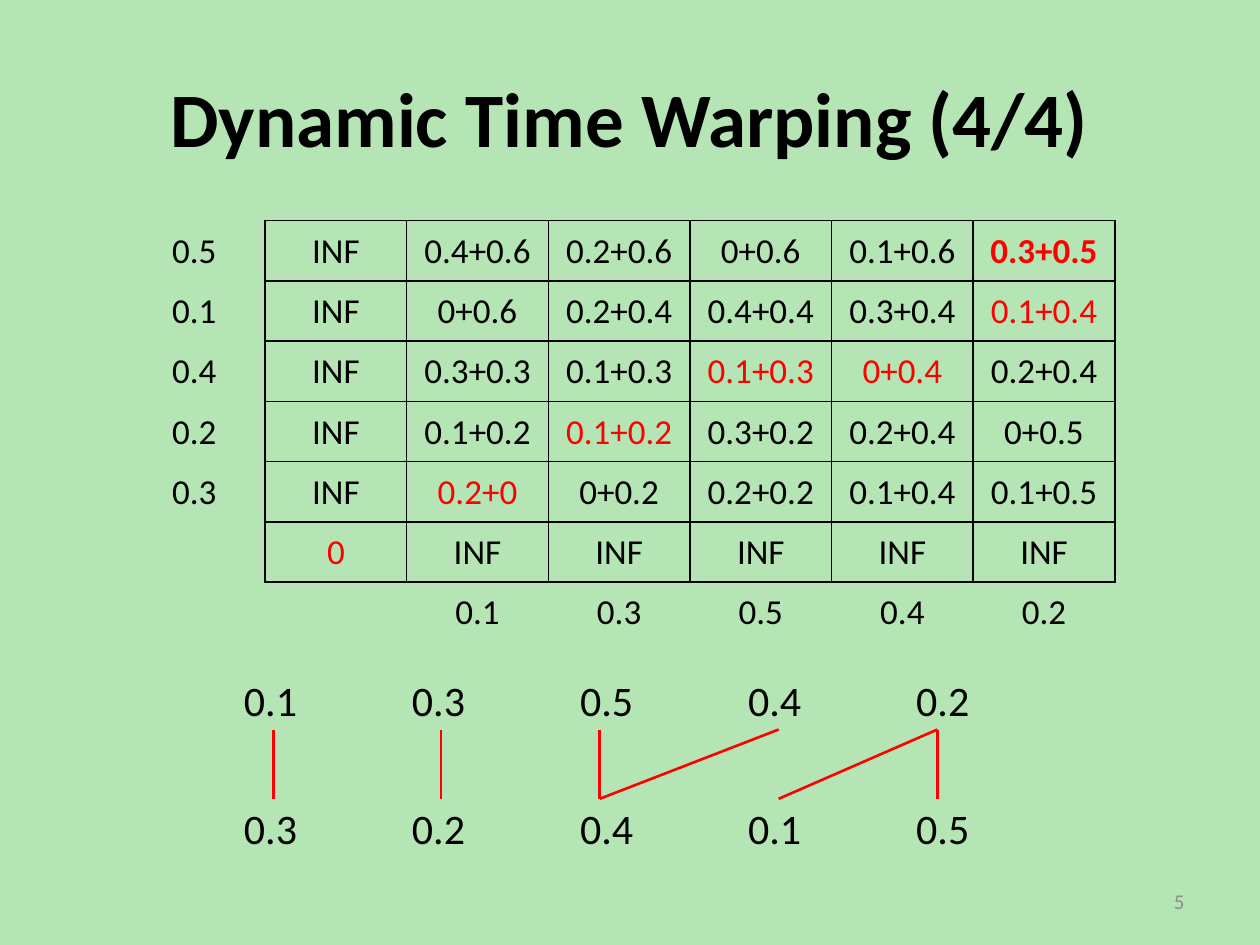
import pptx
import pptx.util
import pptx.oxml
import pptx.oxml.ns
import pptx.dml.color
import pptx.enum.text
import pptx.enum.shapes
from pptx.util import Inches

ALIGN = pptx.enum.text.PP_ALIGN
MIDDLE = pptx.enum.text.MSO_ANCHOR.MIDDLE
BLACK, RED, GRAY, GREEN = "000000", "FF0000", "8C8C8C", "B5E5B5"


def color(code):
    return pptx.dml.color.RGBColor.from_string(code)


class Deck:
    face = "Calibri"

    def __init__(self):
        self.show = pptx.Presentation()
        self.show.slide_width = Inches(10)
        self.show.slide_height = Inches(7.5)
        self.slide = self.show.slides.add_slide(self.show.slide_layouts[5])
        fill = self.slide.background.fill
        fill.solid()
        fill.fore_color.rgb = color(GREEN)

    def text(self, frame, words, size, tint=BLACK, bold=False, align=ALIGN.CENTER):
        line = frame.paragraphs[0]
        line.text = words
        line.alignment = align
        line.font.name = self.face
        line.font.size = pptx.util.Pt(size)
        line.font.bold = bold
        line.font.color.rgb = color(tint)

    def title(self, words, box):
        shape = self.slide.shapes.title
        shape.left, shape.top, shape.width, shape.height = map(Inches, box)
        shape.text_frame.vertical_anchor = MIDDLE
        self.text(shape.text_frame, words, 44, bold=True)

    def label(self, words, box, size, tint, align):
        frame = self.slide.shapes.add_textbox(*map(Inches, box)).text_frame
        frame.word_wrap = True
        frame.vertical_anchor = MIDDLE
        self.text(frame, words, size, tint, align=align)

    def line(self, start, end):
        kind = pptx.enum.shapes.MSO_CONNECTOR.STRAIGHT
        link = self.slide.shapes.add_connector(kind, *map(Inches, start + end))
        link.line.color.rgb = color(RED)
        link.line.width = pptx.util.Pt(1.5)
        props = link._element.spPr
        props.append(props.makeelement(pptx.oxml.ns.qn("a:effectLst"), {}))

    def edges(self, cell, sides):
        props = cell._tc.get_or_add_tcPr()
        for spot, side in enumerate("LRTB"):
            ink = "<a:noFill/>"
            if side in sides:
                ink = f'<a:solidFill><a:srgbClr val="{BLACK}"/></a:solidFill>'
            space = pptx.oxml.ns.nsdecls("a")
            xml = f'<a:ln{side} {space} w="12700">{ink}</a:ln{side}>'
            props.insert(spot, pptx.oxml.parse_xml(xml))

    def table(self, rows, box, size, tight=False, marks=(), bold=(), sides=None):
        shape = self.slide.shapes.add_table(len(rows), len(rows[0]), *map(Inches, box))
        grid = shape.table
        grid.first_row = grid.horz_banding = False
        for r, row in enumerate(rows):
            for c, words in enumerate(row):
                cell = grid.cell(r, c)
                cell.fill.background()
                if tight:
                    cell.vertical_anchor = MIDDLE
                    cell.margin_left = cell.margin_right = Inches(0.01)
                    cell.margin_top, cell.margin_bottom = Inches(0.01), 0
                tint = RED if (r, c) in marks else BLACK
                self.text(cell.text_frame, words, size, tint, (r, c) in bold)
                self.edges(cell, sides(r, c) if sides else "")

    def save(self):
        self.show.save("out.pptx")


def frame_sides(r, c):
    if r < 6:
        return "LRTB" if c else "R"
    return "T" if c else ""


def main():
    deck = Deck()
    deck.title("Dynamic Time Warping (4/4)", (0.5, 0.3, 9, 1.25))
    deck.label("5", (7.17, 6.95, 2.33, 0.4), 12, GRAY, ALIGN.RIGHT)

    first = ["0.1", "0.3", "0.5", "0.4", "0.2"]
    second = ["0.3", "0.2", "0.4", "0.1", "0.5"]
    deck.table([first, [""] * 5, second], (1.48, 5.32, 6.67, 1.53), 24)

    high, low = 5.79, 6.34
    pairs = [(2.17, 2.17), (3.5, 3.5), (4.76, 4.76),
             (6.18, 4.76), (7.44, 6.18), (7.44, 7.44)]
    for upper, lower in pairs:
        deck.line((upper, high), (lower, low))

    costs = [
        ["0.4+0.6", "0.2+0.6", "0+0.6", "0.1+0.6", "0.3+0.5"],
        ["0+0.6", "0.2+0.4", "0.4+0.4", "0.3+0.4", "0.1+0.4"],
        ["0.3+0.3", "0.1+0.3", "0.1+0.3", "0+0.4", "0.2+0.4"],
        ["0.1+0.2", "0.1+0.2", "0.3+0.2", "0.2+0.4", "0+0.5"],
        ["0.2+0", "0+0.2", "0.2+0.2", "0.1+0.4", "0.1+0.5"],
    ]
    rows = [[name, "INF"] + cost for name, cost in zip(reversed(second), costs)]
    rows += [["", "0"] + ["INF"] * 5, ["", ""] + first]
    route = {(5, 1), (4, 2), (3, 3), (2, 4), (2, 5), (1, 6), (0, 6)}
    deck.table(rows, (0.98, 1.75, 7.87, 3.35), 20, True, route, {(0, 6)}, frame_sides)
    deck.save()


if __name__ == "__main__":
    main()
